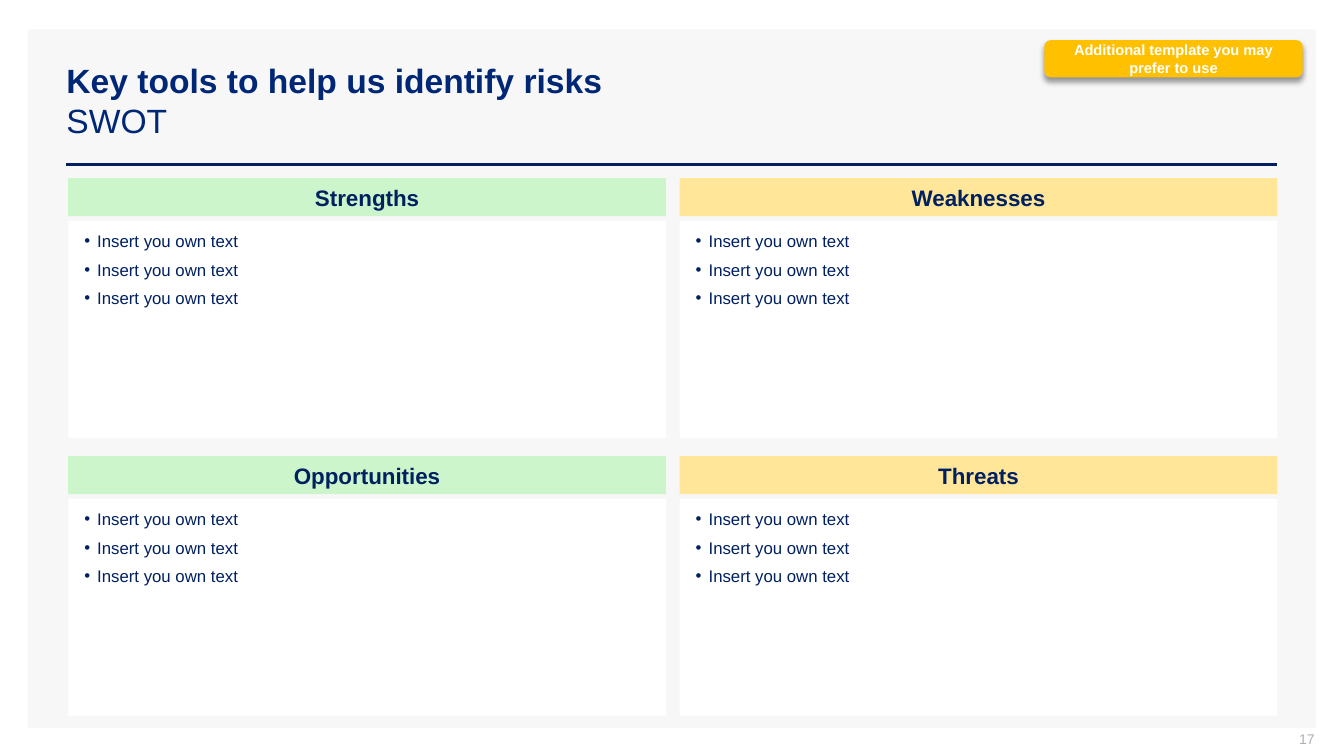
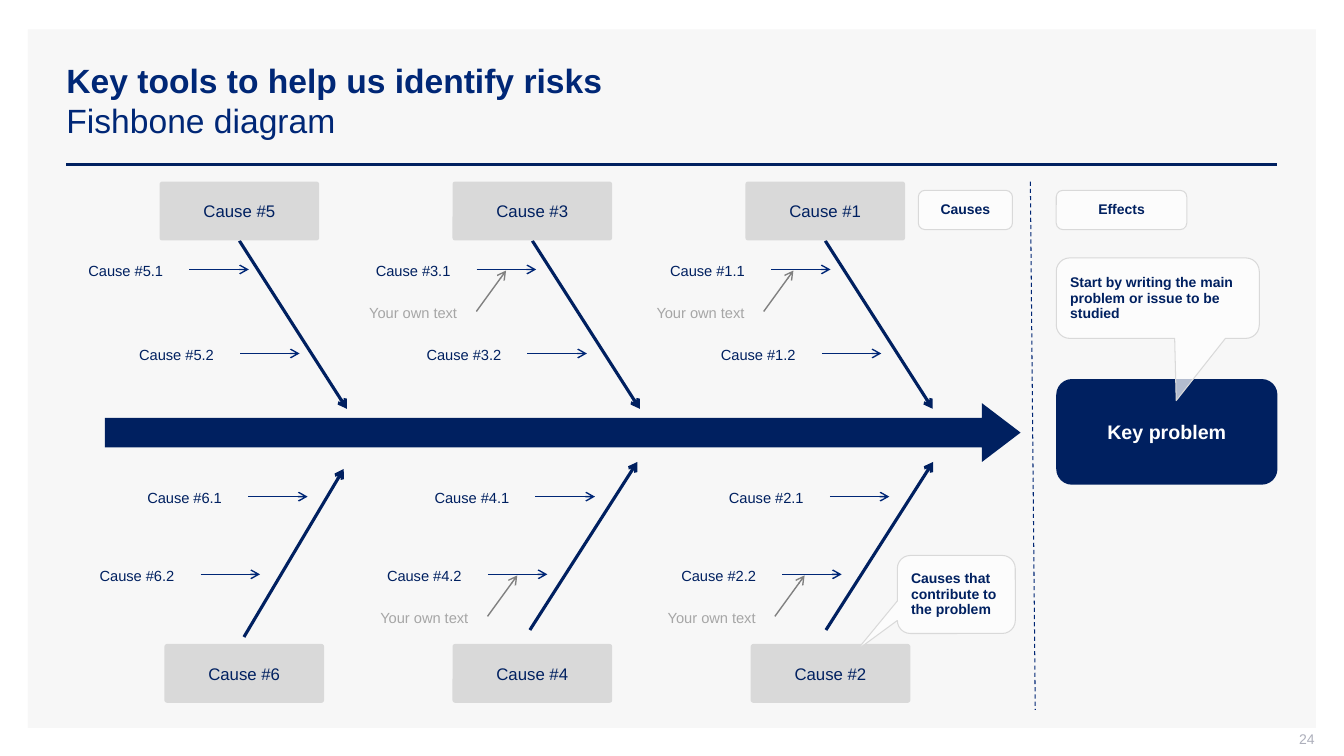
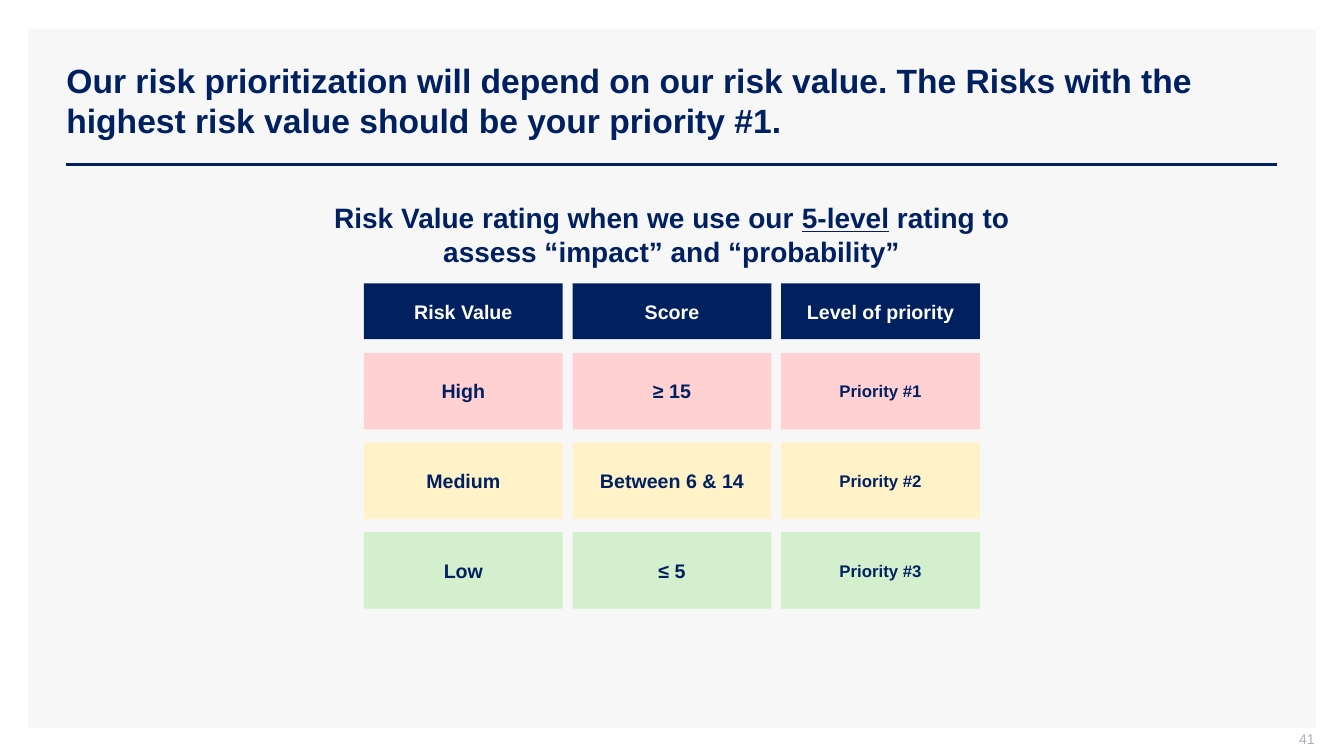
from lxml.etree import SubElement
from pptx import Presentation
from pptx.dml.color import RGBColor
from pptx.enum.dml import MSO_LINE
from pptx.enum.shapes import MSO_CONNECTOR, MSO_SHAPE
from pptx.enum.text import MSO_ANCHOR, MSO_AUTO_SIZE, PP_ALIGN
from pptx.oxml.ns import qn
from pptx.util import Pt

FONT = "Arial"
COLORS = {
    "panel": "F7F7F7", "navy": "002060", "blue": "002776", "divider": "002673",
    "white": "FFFFFF", "page": "ADAFBB", "badge": "FFC000", "shadow": "000000",
    "good": "CCF5CB", "bad": "FFE699", "box": "D9D9D9", "note": "A6A6A6",
    "note_arrow": "808080", "high": "FFD1D2", "medium": "FFF2C9", "low": "D3EFCE",
}
TITLE_ONLY, COMPARISON = 5, 4


def rgb(name):
    return RGBColor.from_string(COLORS[name])


def write_text(tf, paragraphs, size=12, color="navy", bold=False, align=PP_ALIGN.LEFT,
               anchor=MSO_ANCHOR.MIDDLE, inset=(7.2, 3.6, 7.2, 3.6), gap=0,
               leading=None, bullet=False):
    """Fill a frame; each paragraph is a string or a list of (text, font options)."""
    tf.word_wrap = True
    tf.auto_size = MSO_AUTO_SIZE.NONE
    tf.vertical_anchor = anchor
    tf.margin_left, tf.margin_top, tf.margin_right, tf.margin_bottom = map(Pt, inset)
    if isinstance(paragraphs, str):
        paragraphs = [paragraphs]
    for i, runs in enumerate(paragraphs):
        p = tf.add_paragraph() if i else tf.paragraphs[0]
        p.alignment = align
        p.space_before = Pt(gap if i else 0)
        p.space_after = Pt(gap)
        if leading:
            p.line_spacing = Pt(leading)
        if bullet:
            pPr = p._p.get_or_add_pPr()
            pPr.set("marL", str(Pt(13.5)))
            pPr.set("indent", str(Pt(-9.25)))
            SubElement(pPr, qn("a:buChar")).set("char", "•")
        for text, options in [(runs, {})] if isinstance(runs, str) else runs:
            r = p.add_run()
            r.text = text
            r.font.name = FONT
            r.font.size = Pt(size)
            r.font.bold = options.get("bold", bold)
            r.font.underline = options.get("underline", False)
            r.font.color.rgb = rgb(color)


class Deck:
    """Holds the shared style and the current slide."""

    def __init__(self):
        self.prs = Presentation()
        self.prs.slide_width, self.prs.slide_height = Pt(960), Pt(540)
        self.s = None

    def slide(self, number, title, layout=TITLE_ONLY, title_color="blue", title_width=872):
        self.s = self.prs.slides.add_slide(self.prs.slide_layouts[layout])
        # Panel goes behind the placeholders
        panel = self.shape(20, 21, 920, 499, "panel")
        self.s.shapes._spTree.insert(2, panel._element)
        self.line(47.5, 117.5, 912.25, 117.5, width=2)
        self.place(self.s.shapes.title, 40.25, 28.75, title_width, 85.75)
        write_text(self.s.shapes.title.text_frame, title, size=24,
                   color=title_color, bold=True)
        self.text(723, 522, 216, 15, str(number), size=10, color="page",
                  align=PP_ALIGN.RIGHT, inset=(7.2, 0, 0, 3.6))

    def place(self, sp, x, y, w, h):
        sp.left, sp.top, sp.width, sp.height = map(Pt, (x, y, w, h))

    def shape(self, x, y, w, h, fill, text=None, kind=MSO_SHAPE.RECTANGLE, adj=(),
              border=None, alpha=None, **fmt):
        sp = self.s.shapes.add_shape(kind, Pt(x), Pt(y), Pt(w), Pt(h))
        sp.shadow.inherit = False
        for i, value in enumerate(adj):
            sp.adjustments[i] = value
        sp.fill.solid()
        sp.fill.fore_color.rgb = rgb(fill)
        if alpha:
            color = sp._element.spPr.find(qn("a:solidFill"))[0]
            SubElement(color, qn("a:alpha")).set("val", str(alpha * 1000))
        if border:
            sp.line.color.rgb = rgb(border)
            sp.line.width = Pt(0.75)
        else:
            sp.line.fill.background()
        if text:
            write_text(sp.text_frame, text, **{"align": PP_ALIGN.CENTER, **fmt})
        return sp

    def text(self, x, y, w, h, text, **fmt):
        sp = self.s.shapes.add_textbox(Pt(x), Pt(y), Pt(w), Pt(h))
        write_text(sp.text_frame, text, **fmt)

    def bullets(self, sp, x, y, w, h, items):
        self.place(sp, x, y, w, h)
        sp.fill.solid()
        sp.fill.fore_color.rgb = rgb("white")
        write_text(sp.text_frame, items, anchor=MSO_ANCHOR.TOP, inset=(7.2,) * 4,
                   gap=3, bullet=True)

    def line(self, x1, y1, x2, y2, color="navy", width=1, arrow=False, dash=False):
        cn = self.s.shapes.add_connector(MSO_CONNECTOR.STRAIGHT,
                                         Pt(x1), Pt(y1), Pt(x2), Pt(y2))
        cn.line.color.rgb = rgb(color)
        cn.line.width = Pt(width)
        if dash:
            cn.line.dash_style = MSO_LINE.DASH
        if arrow:
            SubElement(cn.line._get_or_add_ln(), qn("a:tailEnd")).set("type", "arrow")
        SubElement(cn._element.spPr, qn("a:effectLst"))

    def badge(self, x, y, w, h, text):
        sp = self.shape(x, y, w, h, "badge", text, kind=MSO_SHAPE.ROUNDED_RECTANGLE,
                        size=10.5, color="white", bold=True)
        effects = sp._element.spPr.find(qn("a:effectLst"))
        shadow = SubElement(effects, qn("a:outerShdw"), blurRad=str(Pt(4)),
                            dist=str(Pt(3)), dir="5400000", algn="t", rotWithShape="0")
        color = SubElement(shadow, qn("a:srgbClr"), val=COLORS["shadow"])
        SubElement(color, qn("a:alpha"), val="40000")

    def hint(self, x, y, w, h, text, kind=MSO_SHAPE.ROUNDED_RECTANGLE, adj=(),
             align=PP_ALIGN.CENTER):
        self.shape(x, y, w, h, "white", text, kind=kind, adj=adj, border="box", alpha=70,
                   size=10, bold=True, align=align, leading=11)

    def cause(self, x, y, number):
        self.shape(x, y, 114, 42, "box", f"Cause #{number}", adj=(0.043,),
                   kind=MSO_SHAPE.ROUNDED_RECTANGLE)

    def label(self, x, y, text, color="navy"):
        self.text(x, y, 99.25, 20, text, size=10.5, color=color, align=PP_ALIGN.CENTER)


def swot(deck):
    deck.slide(17, ["Key tools to help us identify risks", [("SWOT", {"bold": False})]],
               layout=COMPARISON)
    deck.badge(746, 28.75, 184.5, 26.5, "Additional template you may prefer to use")
    bodies = [sp for sp in deck.s.placeholders if sp.placeholder_format.idx in range(1, 5)]
    names = ["Strengths", "Weaknesses", "Opportunities", "Threats"]
    for i, (name, body) in enumerate(zip(names, bodies)):
        row, col = divmod(i, 2)
        x, y = 48.75 + 436.75 * col, 127.25 + 198.5 * row
        deck.shape(x, y, 427, 27.25, ("good", "bad")[col], name, size=16, bold=True)
        deck.bullets(body, x, y + 30.5, 427, 155, ["Insert you own text"] * 3)


def fishbone(deck):
    deck.slide(24, ["Key tools to help us identify risks",
                    [("Fishbone diagram", {"bold": False})]])
    deck.shape(75, 288, 654, 42, "navy", kind=MSO_SHAPE.RIGHT_ARROW, adj=(0.5, 0.657))

    # Main causes: upper number, lower box left, lower bone start, end and bottom
    bones = [(5, 117.5, 174.25, 245.5, 455), (3, 323.25, 378.5, 455.25, 450),
             (1, 536.25, 590, 666.5, 450)]
    for col, (number, box_x, start, end, bottom) in enumerate(bones):
        x = 114 + 209.25 * col
        deck.line(x + 57, 172, x + 133.75, 292, width=2.25, arrow=True)
        deck.cause(x, 129.75, number)
        deck.line(start, bottom, end, bottom - 120, width=2.25, arrow=True)
        deck.cause(box_x, 460, number + 1)

    # Secondary causes: number step, sub-number, shift right, top, has a note
    rows = [(0, 1, 0, 183.5, True), (0, 2, 36.25, 243.5, False),
            (1, 1, 42, 345.75, False), (1, 2, 8, 401.25, True)]
    columns = [(5, 40.25, None), (3, 245.5, 245.5), (1, 455.75, 450.75)]
    for number, left, note_left in columns:
        for step, sub, shift, y, has_note in rows:
            x = left + shift
            deck.line(x + 95, y + 9, x + 137.5, y + 9, color="blue", arrow=True)
            deck.label(x, y, f"Cause #{number + step}.{sub}")
            if has_note and note_left:
                x = note_left + shift
                deck.line(x + 94.75, y + 39, x + 116, y + 9.75, color="note_arrow",
                          arrow=True)
                deck.label(x, y + 30, "Your own text", color="note")

    # Hints and effects
    callout = MSO_SHAPE.ROUNDED_RECTANGULAR_CALLOUT
    deck.hint(641, 396.75, 84.25, 55.75, "Causes that contribute to the problem",
              kind=callout, adj=(-0.844, 0.715, 0.167), align=PP_ALIGN.LEFT)
    deck.line(736, 129.75, 739.5, 507, color="divider", width=0.75, dash=True)
    deck.hint(656, 136, 67.25, 28, "Causes")
    deck.shape(754.5, 270.75, 158, 75.5, "navy", "Key problem", adj=(0.148,),
               kind=MSO_SHAPE.ROUNDED_RECTANGLE, size=14, color="white", bold=True)
    deck.hint(754.5, 184.25, 145, 57.5,
              "Start by writing the main problem or issue to be studied",
              kind=callout, adj=(0.091, 1.273, 0.167), align=PP_ALIGN.LEFT)
    deck.hint(754.5, 136, 93.25, 28, "Effects")


def priorities(deck):
    deck.slide(41, "Our risk prioritization will depend on our risk value. The Risks with "
               "the highest risk value should be your priority #1.",
               title_color="navy", title_width=819.5)
    deck.text(202.25, 139.75, 555, 55.5,
              [[("Risk Value rating when we use our ", {}), ("5-level", {"underline": True}),
                (" rating to assess “impact” and “probability”", {})]],
              size=20, bold=True, align=PP_ALIGN.CENTER, anchor=MSO_ANCHOR.TOP)

    # Grid of rating cards
    rows = [("navy", "Risk Value", "Score", "Level of priority"),
            ("high", "High", "≥ 15", "Priority #1"),
            ("medium", "Medium", "Between 6 & 14", "Priority #2"),
            ("low", "Low", "≤ 5", "Priority #3")]
    for i, (fill, *cells) in enumerate(rows):
        y, h = (188 + 64 * i, 54.75) if i else (202.5, 39.75)
        for col, text in enumerate(cells):
            deck.shape(260 + 149 * col, y, 142, h, fill, text, bold=True,
                       size=12 if i and col == 2 else 14, color="navy" if i else "white")


def main():
    deck = Deck()
    swot(deck)
    fishbone(deck)
    priorities(deck)
    deck.prs.save("out.pptx")


if __name__ == "__main__":
    main()
